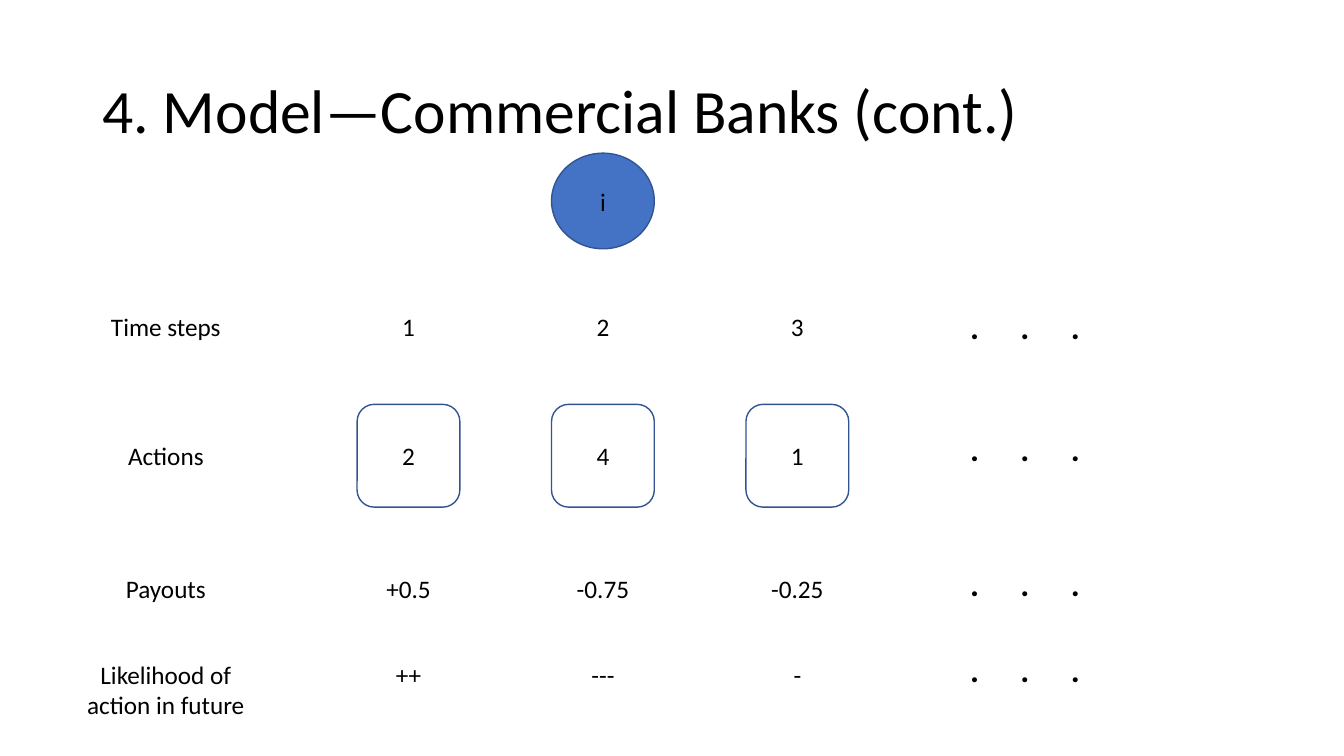
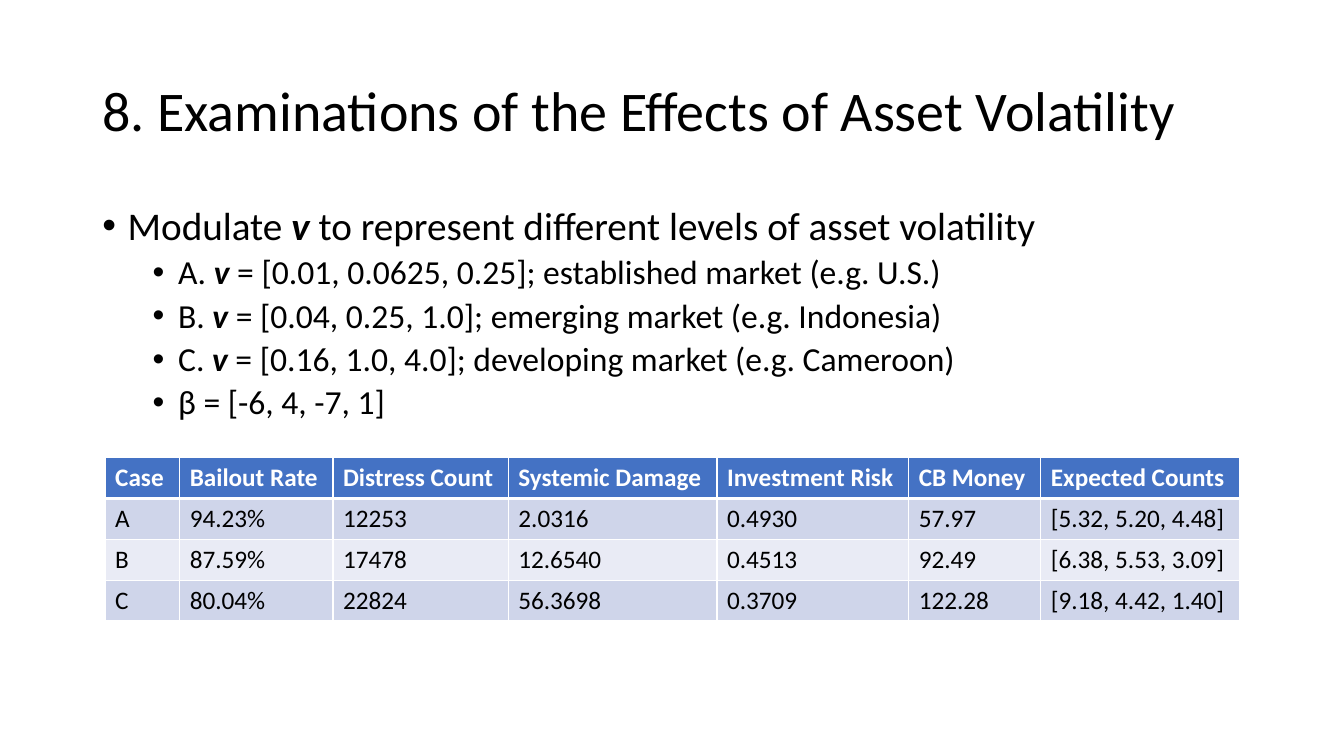
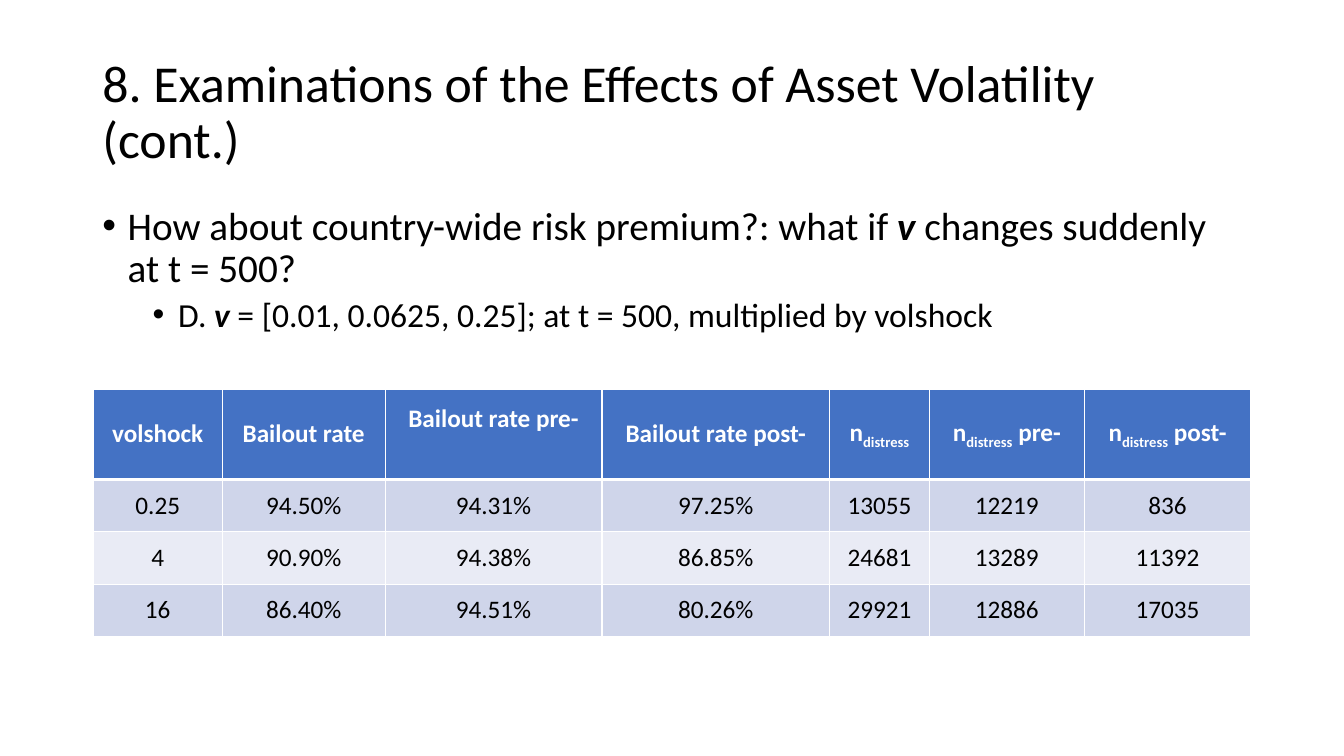
from lxml import etree
from pptx import Presentation
from pptx.dml.color import RGBColor
from pptx.enum.shapes import MSO_SHAPE
from pptx.enum.text import MSO_ANCHOR, PP_ALIGN
from pptx.oxml.ns import qn
from pptx.util import Cm, Pt

OVAL, ROUND = MSO_SHAPE.OVAL, MSO_SHAPE.ROUNDED_RECTANGLE
LEFT, CENTER = PP_ALIGN.LEFT, PP_ALIGN.CENTER
TOP, MIDDLE = MSO_ANCHOR.TOP, MSO_ANCHOR.MIDDLE

FONT = "Calibri"
BLACK, WHITE, BLUE, EDGE = "000000", "FFFFFF", "4472C4", "325491"
BANDS = ["CFD5EA", "E9EBF5"]

# Special runs: text with the format that differs from its paragraph
VOL = ("v", {"bold": True, "italic": True})
SUB = ("distress", {"base": -25000})

# Bullet levels: size, left indent in cm, space before in points
LEVELS = [(28, 0.64, 10), (24, 1.91, 5)]
HANG = 0.64

# Time step columns
COL_X, COL_STEP, COL_W = 9, 4.9, 2.59
LABEL_MID = 4.18

# Label, label width, top of text, top of dots, values
ROWS = [
    ("Time steps", 3.68, 7.72, 7.59, ["1", "2", "3"]),
    ("Actions", 3.68, 10.97, 10.67, ["2", "4", "1"]),
    ("Payouts", 3.68, 14.33, 14.07, ["+0.5", "-0.75", "-0.25"]),
    ("Likelihood of action in future", 5.1, 16.48, 16.23, ["++", "---", "-"]),
]

MARKETS = [
    (0, ["Modulate ", VOL, " to represent different levels of asset volatility"]),
    (1, ["A. ", VOL, " = [0.01, 0.0625, 0.25]; established market (e.g. U.S.)"]),
    (1, ["B. ", VOL, " = [0.04, 0.25, 1.0]; emerging market (e.g. Indonesia)"]),
    (1, ["C. ", VOL, " = [0.16, 1.0, 4.0]; developing market (e.g. Cameroon)"]),
    (1, ["β = [-6, 4, -7, 1]"]),
]
CASES = [
    ["Case", "Bailout Rate", "Distress Count", "Systemic Damage",
     "Investment Risk", "CB Money", "Expected Counts"],
    ["A", "94.23%", "12253", "2.0316", "0.4930", "57.97", "[5.32, 5.20, 4.48]"],
    ["B", "87.59%", "17478", "12.6540", "0.4513", "92.49", "[6.38, 5.53, 3.09]"],
    ["C", "80.04%", "22824", "56.3698", "0.3709", "122.28", "[9.18, 4.42, 1.40]"],
]
CASE_COLS = [1.88, 3.86, 4.42, 5.26, 4.83, 3.33, 5]

PREMIUM = [
    (0, ["How about country-wide risk premium?: what if ", VOL,
         " changes suddenly at t = 500?"]),
    (1, ["D. ", VOL, " = [0.01, 0.0625, 0.25]; at t = 500, multiplied by volshock"]),
]
SHOCKS = [
    ["volshock", "Bailout rate", "Bailout rate pre-", "Bailout rate post-",
     ["n", SUB], ["n", SUB, " pre-"], ["n", SUB, " post-"]],
    ["0.25", "94.50%", "94.31%", "97.25%", "13055", "12219", "836"],
    ["4", "90.90%", "94.38%", "86.85%", "24681", "13289", "11392"],
    ["16", "86.40%", "94.51%", "80.26%", "29921", "12886", "17035"],
]
SHOCK_COLS = [3.25, 4.11, 5.46, 5.74, 2.51, 3.91, 4.19]


def rgb(code):
    return RGBColor.from_string(code)


def write(para, parts, size=18, color=BLACK, align=CENTER, **form):
    """Fill a paragraph with runs; a part is a string or (text, format)."""
    para.alignment = align
    for part in [parts] if isinstance(parts, str) else parts:
        text, extra = (part, {}) if isinstance(part, str) else part
        run = para.add_run()
        run.text = text
        look = {"name": FONT, "size": Pt(size), **form, **extra}
        base = look.pop("base", None)
        for key, val in look.items():
            setattr(run.font, key, val)
        run.font.color.rgb = rgb(color)
        if base:
            run.font._element.set("baseline", str(base))


def add_box(slide, x, y, w, h, anchor=TOP):
    """Add a wrapping text box and return its frame."""
    frame = slide.shapes.add_textbox(Cm(x), Cm(y), Cm(w), Cm(h)).text_frame
    frame.word_wrap = True
    frame.vertical_anchor = anchor
    return frame


def add_label(slide, x, y, w, text, h=1.02, **form):
    write(add_box(slide, x, y, w, h).paragraphs[0], text, **form)


def add_title(slide, text, size):
    para = add_box(slide, 2.33, 1.02, 29.21, 3.68, MIDDLE).paragraphs[0]
    para.line_spacing = 0.9
    write(para, text, size=size, align=LEFT)


def add_node(slide, kind, x, y, h, text, fill=None):
    node = slide.shapes.add_shape(kind, Cm(x), Cm(y), Cm(COL_W), Cm(h))
    node.shadow.inherit = False
    if fill:
        node.fill.solid()
        node.fill.fore_color.rgb = rgb(fill)
    else:
        node.fill.background()
    node.line.color.rgb = rgb(EDGE)
    node.line.width = Pt(1)
    node.text_frame.vertical_anchor = MIDDLE
    write(node.text_frame.paragraphs[0], text)


def add_list(slide, items):
    frame = add_box(slide, 2.33, 5.08, 29.21, 12.09)
    for num, (level, parts) in enumerate(items):
        para = frame.add_paragraph() if num else frame.paragraphs[0]
        size, left, before = LEVELS[level]
        para.level = level
        para.line_spacing = 0.9
        para.space_before = Pt(before)
        write(para, parts, size=size, align=LEFT)
        props = para._p.get_or_add_pPr()
        props.set("marL", str(Cm(left)))
        props.set("indent", str(-Cm(HANG)))
        etree.SubElement(props, qn("a:buFont"), typeface="Arial")
        etree.SubElement(props, qn("a:buChar"), char="•")


def add_edges(cell, **widths):
    """Draw white cell borders with widths in points, in the order L, R, T, B."""
    props = cell._tc.get_or_add_tcPr()
    for num, (side, width) in enumerate(widths.items()):
        line = etree.Element(qn("a:ln" + side), w=str(Pt(width)))
        fill = etree.SubElement(line, qn("a:solidFill"))
        etree.SubElement(fill, qn("a:srgbClr"), val=WHITE)
        props.insert(num, line)


def add_grid(slide, x, y, cols, heights, data, align=LEFT, anchor=TOP):
    """Add a table with a blue header and banded rows."""
    table = slide.shapes.add_table(len(data), len(cols), Cm(x), Cm(y),
                                   Cm(sum(cols)), Cm(sum(heights))).table
    for col, width in zip(table.columns, cols):
        col.width = Cm(width)
    for r, (row, height) in enumerate(zip(data, heights)):
        table.rows[r].height = Cm(height)
        head = r == 0
        for c, parts in enumerate(row):
            cell = table.cell(r, c)
            cell.vertical_anchor = anchor
            cell.fill.solid()
            cell.fill.fore_color.rgb = rgb(BLUE if head else BANDS[(r - 1) % 2])
            add_edges(cell, L=1, R=1, T=3 if r == 1 else 1, B=3 if head else 1)
            write(cell.text_frame.paragraphs[0], parts, align=align,
                  color=WHITE if head else BLACK, bold=head)
    return table


def draw_model(slide):
    add_title(slide, "4. Model—Commercial Banks (cont.)", 44)
    add_node(slide, OVAL, COL_X + COL_STEP, 3.86, 2.41, "i", BLUE)
    for label, width, top, dots, values in ROWS:
        add_label(slide, LABEL_MID - width / 2, top, width, label)
        for num, value in enumerate(values):
            x = COL_X + num * COL_STEP
            if label == "Actions":
                add_node(slide, ROUND, x, 10.19, COL_W, value)
            else:
                add_label(slide, x, top, COL_W, value)
        add_label(slide, 22.53, dots, 6.6, ".\t.\t.", h=1.27, size=24, bold=True)


def draw_cases(slide):
    add_title(slide, "8. Examinations of the Effects of Asset Volatility", 40)
    add_list(slide, MARKETS)
    add_grid(slide, 2.65, 11.53, CASE_COLS, [1.03] * 4, CASES)


def draw_shocks(slide):
    add_title(slide, "8. Examinations of the Effects of Asset Volatility (cont.)", 37)
    add_list(slide, PREMIUM)
    table = add_grid(slide, 2.35, 9.8, SHOCK_COLS, [2.28] + [1.32] * 3, SHOCKS,
                     CENTER, MIDDLE)
    table.cell(0, 2).margin_bottom = Cm(0.89)


def main():
    deck = Presentation()
    deck.slide_width, deck.slide_height = Cm(33.87), Cm(19.05)
    for draw in (draw_model, draw_cases, draw_shocks):
        draw(deck.slides.add_slide(deck.slide_layouts[6]))
    deck.save("out.pptx")


if __name__ == "__main__":
    main()
